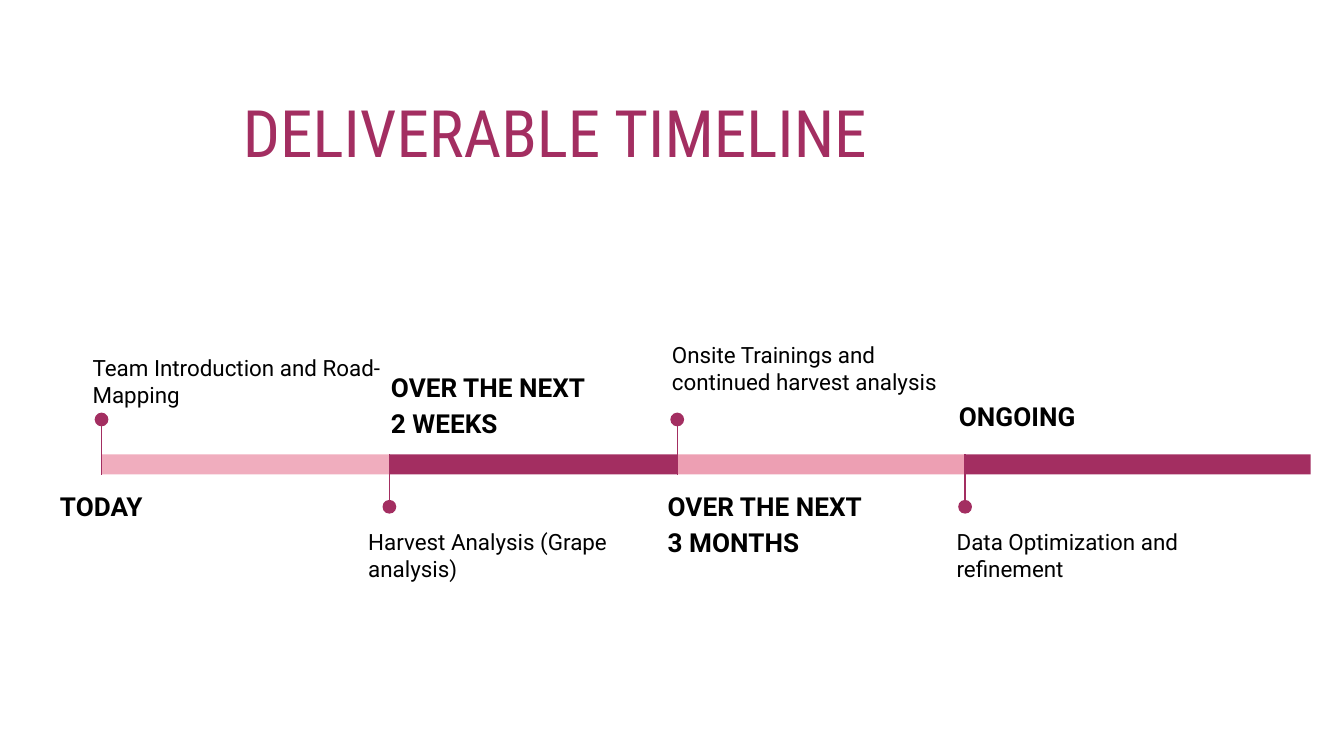
from dataclasses import dataclass
from lxml.etree import SubElement
from pptx import Presentation
from pptx.dml.color import RGBColor as Rgb
from pptx.enum.shapes import MSO_CONNECTOR as Line, MSO_SHAPE as Kind
from pptx.enum.text import MSO_ANCHOR as Anchor, PP_ALIGN as Align
from pptx.oxml.ns import qn
from pptx.util import Cm, Pt


@dataclass(frozen=True)
class Theme:
    plum: Rgb = Rgb(0xA3, 0x2E, 0x61)
    pink: Rgb = Rgb(0xF0, 0xAD, 0xBE)
    rose: Rgb = Rgb(0xED, 0x9F, 0xB3)
    ink: Rgb = Rgb(0, 0, 0)
    title: Pt = Pt(35)
    head: Pt = Pt(14)
    body: Pt = Pt(12)


theme = Theme()
deck = Presentation()
deck.slide_width, deck.slide_height = Cm(25.4), Cm(14.29)
slide = deck.slides.add_slide(deck.slide_layouts[6])
shapes = slide.shapes


def add_text(text, box, size, color, face="Roboto", bold=False):
    frame = shapes.add_textbox(*map(Cm, box)).text_frame
    frame.word_wrap = True
    frame.vertical_anchor = Anchor.TOP
    frame.margin_left = frame.margin_right = Cm(0.25)
    frame.margin_top = frame.margin_bottom = Cm(0.25)
    frame.text = text
    para = frame.paragraphs[0]
    font = para.runs[0].font
    font.name, font.size, font.bold = face, size, bold
    font.color.rgb = color
    return para


def add_solid(kind, box, color):
    shape = shapes.add_shape(kind, *map(Cm, box))
    shape.shadow.inherit = False
    shape.fill.solid()
    shape.fill.fore_color.rgb = color
    shape.line.fill.background()


# Title, indented from the left
para = add_text("DELIVERABLE TIMELINE", (3.07, 1.5, 19.23, 1.57),
                theme.title, theme.plum, "Roboto Condensed")
props = para._p.get_or_add_pPr()
props.set("marL", str(Cm(1.27)))
props.set("indent", "0")

# Stages: bar colour, pin up, heading and its box, centred, details and their box
stages = [
    (theme.pink, True, "TODAY", (0.71, 8.94, 2.41, 1.04), True,
     "Team Introduction and Road-Mapping", (1.5, 6.45, 6.25, 2.62)),
    (theme.plum, False, "OVER THE NEXT 2 WEEKS", (7.14, 6.68, 4.24, 1.04), False,
     "Harvest Analysis (Grape analysis)", (6.71, 9.73, 5.11, 2.62)),
    (theme.rose, True, "OVER THE NEXT 3 MONTHS", (12.37, 8.94, 4.45, 1.04), False,
     "Onsite Trainings and continued harvest analysis", (12.45, 6.2, 6.25, 1.57)),
    (theme.plum, False, "ONGOING", (17.83, 7.24, 2.79, 1.04), True,
     "Data Optimization and refinement", (17.83, 9.73, 5.31, 2.62)),
]
start, step, end = 1.92, 5.44, 24.77
top, thick, dot = 8.59, 0.38, 0.26

for i, (color, up, head, place, mid, body, area) in enumerate(stages):
    # Bar: the last one runs on to the end
    left = start + i * step
    width = step if i < len(stages) - 1 else end - left
    add_solid(Kind.RECTANGLE, (left, top, width, thick), color)

    # Pin: stem across the bar, dot at its tip
    tip, foot = (7.93, top + thick) if up else (9.58, top)
    stem = shapes.add_connector(Line.STRAIGHT, Cm(left), Cm(tip), Cm(left), Cm(foot))
    stem.line.color.rgb = theme.plum
    stem.line.width = Pt(0.75)
    SubElement(stem._element.spPr, qn("a:effectLst"))
    add_solid(Kind.OVAL, (left - dot / 2, tip - dot / 2, dot, dot), theme.plum)

    # Heading and details
    para = add_text(head, place, theme.head, theme.ink, bold=True)
    para.alignment = Align.CENTER if mid else Align.LEFT
    para.line_spacing = 1.15
    para.space_after = Pt(16)
    add_text(body, area, theme.body, theme.ink)

deck.save("out.pptx")
